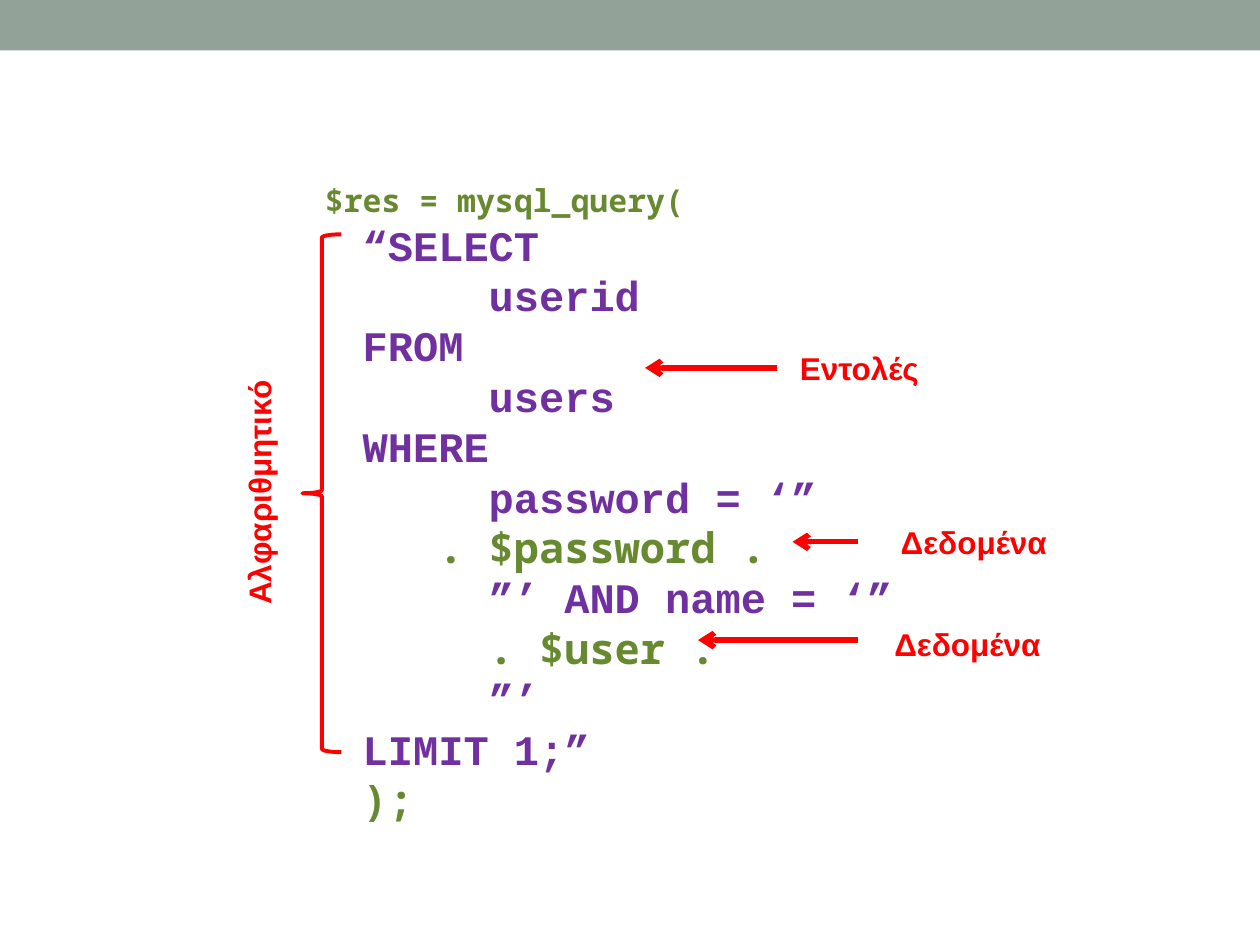
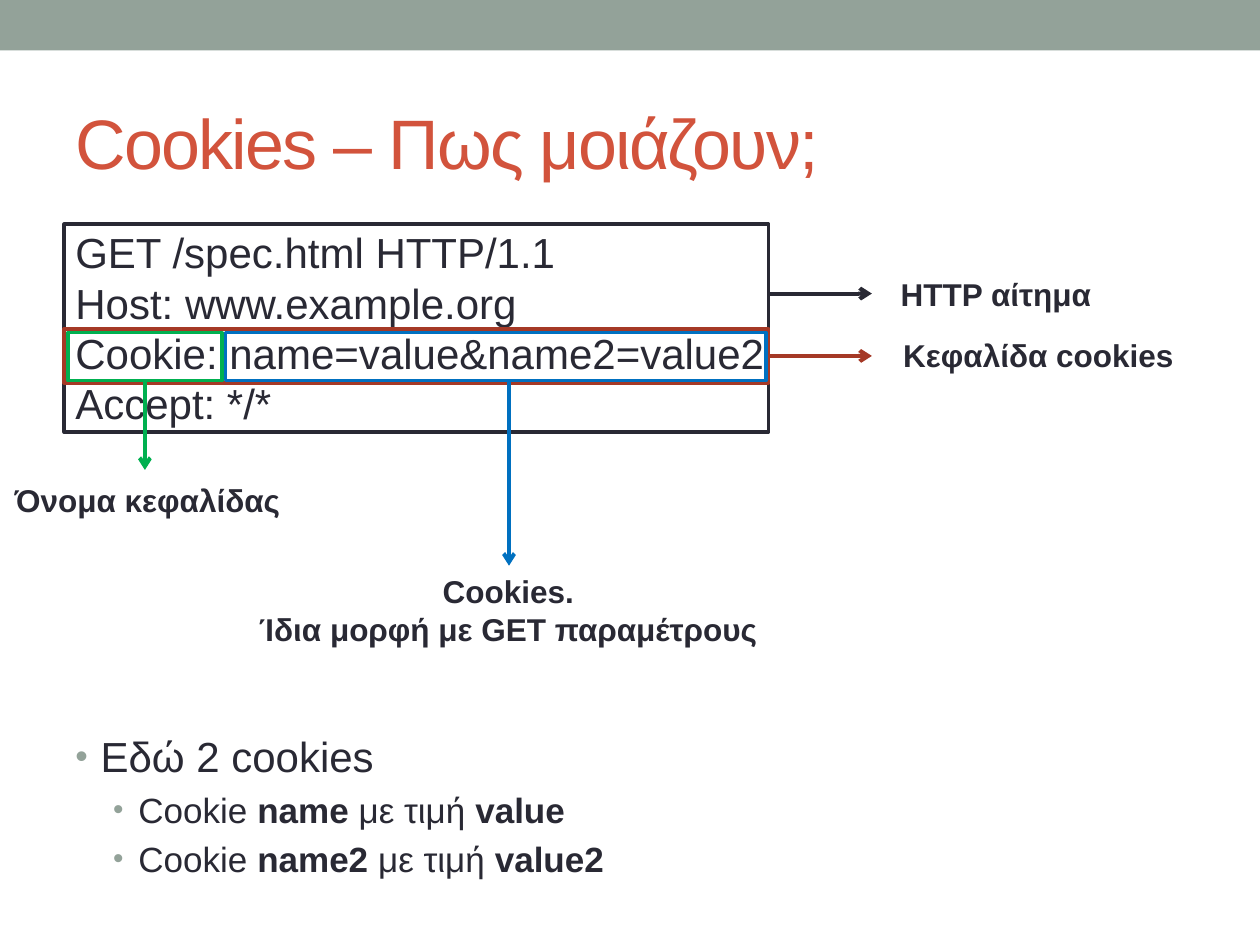
from lxml.etree import SubElement
from pptx import Presentation
from pptx.dml.color import RGBColor
from pptx.enum.shapes import MSO_CONNECTOR, MSO_SHAPE
from pptx.enum.text import MSO_ANCHOR, PP_ALIGN
from pptx.oxml.ns import qn
from pptx.util import Inches, Pt

SAGE = RGBColor(0x93, 0xA2, 0x99)
INK = RGBColor(0x29, 0x29, 0x34)
TITLE_RED = RGBColor(0xD2, 0x53, 0x3C)
RED = RGBColor(0xFF, 0x00, 0x00)
BRICK = RGBColor(0xA5, 0x39, 0x26)
BLUE = RGBColor(0x00, 0x70, 0xC0)
GREEN = RGBColor(0x00, 0xB0, 0x50)
PURPLE = RGBColor(0x70, 0x30, 0xA0)
OLIVE = RGBColor(0x67, 0x89, 0x30)

SANS, QUERY_FONT, PHP_FONT = "Arial", "Courier New", "Noto Sans Mono"
LEADING = 1.2
BOTTOM, RIGHT = 2, 3


class Deck:
    """Holds the shared style and the slide being filled."""

    def __init__(self):
        self.prs = Presentation()
        self.prs.slide_width, self.prs.slide_height = Inches(10), Inches(7.5)
        self.slide = None

    def new_slide(self):
        self.slide = self.prs.slides.add_slide(self.prs.slide_layouts[6])
        self.shape(MSO_SHAPE.RECTANGLE, 0, 0, 10, 0.4, fill=SAGE)

    def shape(self, kind, left, top, width, height, fill=None, line=None, weight=2.08):
        shape = self.slide.shapes.add_shape(
            kind, Inches(left), Inches(top), Inches(width), Inches(height))
        shape.shadow.inherit = False
        if fill is None:
            shape.fill.background()
        else:
            shape.fill.solid()
            shape.fill.fore_color.rgb = fill
        if line is None:
            shape.line.fill.background()
        else:
            shape.line.color.rgb = line
            shape.line.width = Pt(weight)
        return shape

    def frame(self, left, top, width, height):
        """A wrapping text box."""
        box = self.slide.shapes.add_textbox(
            Inches(left), Inches(top), Inches(width), Inches(height))
        box.text_frame.word_wrap = True
        return box

    def paragraph(self, frame, text, size, color, font=SANS, bold=None,
                  indent=0, hanging=0, fixed=False):
        """Add a paragraph, filling the first empty one; every second part
        of a text split by * is bold."""
        para = frame.paragraphs[0]
        if para.runs:
            para = frame.add_paragraph()
        for i, part in enumerate(text.split("*") if "*/*" not in text else [text]):
            if part:
                run = para.add_run()
                run.text = part
                if i % 2:
                    run.font.bold = True
        para.font.size, para.font.name = Pt(size), font
        para.font.color.rgb = color
        para.font.bold = bold
        if fixed:
            para.line_spacing = Pt(size * LEADING)
        props = para._p.get_or_add_pPr()
        props.set("marL", str(Inches(indent)))
        props.set("indent", str(Inches(-hanging)))
        return para

    def title(self, text):
        box = self.frame(0.5, 0.58, 9, 1.08)
        box.text_frame.vertical_anchor = MSO_ANCHOR.MIDDLE
        para = self.paragraph(box.text_frame, text, 40, TITLE_RED)
        para.runs[0]._r.get_or_add_rPr().set("spc", "-100")

    def label(self, lines, left, top, width, color=INK, align=PP_ALIGN.LEFT, rotation=0):
        box = self.frame(left, top, width, 0.1 + 0.3 * len(lines))
        box.rotation = rotation
        for line in lines:
            self.paragraph(box.text_frame, line, 18, color, bold=True).alignment = align

    def bullet(self, frame, text, size, indent):
        para = self.paragraph(frame, text, size, INK, indent=indent, hanging=0.2, fixed=True)
        props = para._p.get_or_add_pPr()
        following = props.find(qn("a:defRPr"))
        bullet_color = SubElement(props, qn("a:buClr"))
        SubElement(bullet_color, qn("a:srgbClr"), val=str(SAGE))
        bullet_size = SubElement(props, qn("a:buSzPct"), val="85000")
        bullet_font = SubElement(props, qn("a:buFont"), typeface=SANS)
        bullet_char = SubElement(props, qn("a:buChar"), char="•")
        if following is not None:
            for element in (bullet_color, bullet_size, bullet_font, bullet_char):
                following.addprevious(element)
        return para

    def arrow(self, x1, y1, x2, y2, color, weight=2.25, source=None, side=None):
        arrow = self.slide.shapes.add_connector(
            MSO_CONNECTOR.STRAIGHT, Inches(x1), Inches(y1), Inches(x2), Inches(y2))
        if source is not None:
            arrow.begin_connect(source, side)
        arrow.line.color.rgb = color
        arrow.line.width = Pt(weight)
        SubElement(arrow.line._get_or_add_ln(), qn("a:tailEnd"), type="arrow")
        SubElement(arrow._element.spPr, qn("a:effectLst"))


def query_slide(deck):
    deck.new_slide()

    # Code: text, indent, and whether it belongs to the query string
    outer, joined, inner = 0.3, 0.9, 1.3
    code_lines = [
        ("“SELECT", outer, True),
        ("userid", inner, True),
        ("FROM", outer, True),
        ("users", inner, True),
        ("WHERE", outer, True),
        ("password = ‘”", inner, True),
        (". $password .", joined, False),
        ("”’ AND name = ‘”", inner, True),
        (". $user .", inner, False),
        ("”’", inner, True),
        ("LIMIT 1;”", outer, True),
        (");", outer, False),
    ]
    code = deck.frame(2.48, 1.39, 5.75, 5.25).text_frame
    deck.paragraph(code, "$res = mysql_query(", 18, OLIVE, PHP_FONT, bold=True)
    for text, indent, in_query in code_lines:
        color, font = (PURPLE, QUERY_FONT) if in_query else (OLIVE, PHP_FONT)
        deck.paragraph(code, text, 24, color, font, bold=True, indent=indent, fixed=True)

    # Arrows and labels: text, label left and top, arrow start, end and height
    for text, left, top, start, end, y in [
        ("Εντολές", 6.25, 2.72, 6.17, 5.12, 2.92),
        ("Δεδομένα", 7.05, 4.1, 6.81, 6.29, 4.3),
        ("Δεδομένα", 7, 4.91, 6.81, 5.54, 5.08),
    ]:
        deck.arrow(start, y, end, y, RED, weight=3)
        deck.label([text], left, top, 2.2, RED)

    # Brace around the string
    deck.shape(MSO_SHAPE.LEFT_BRACE, 2.4, 1.86, 0.31, 4.11, line=RED, weight=2.25)
    deck.label(["Αλφαριθμητικό"], 0, 3.71, 4.11, RED, PP_ALIGN.CENTER, rotation=270)


def cookies_slide(deck):
    deck.new_slide()
    deck.title("Cookies – Πως μοιάζουν;")

    # HTTP request
    request = deck.frame(0.5, 1.75, 9, 1.7).text_frame
    for line in ["GET /spec.html HTTP/1.1", "Host: www.example.org",
                 "Cookie: name=value&name2=value2", "Accept: */*"]:
        deck.paragraph(request, line, 24, INK, fixed=True)

    # Frames around its parts
    box = MSO_SHAPE.RECTANGLE
    deck.shape(box, 0.51, 1.78, 5.59, 1.65, line=INK)
    cookie_header = deck.shape(box, 0.51, 2.61, 5.59, 0.43, line=BRICK)
    deck.shape(box, 1.79, 2.64, 4.29, 0.38, line=BLUE)
    header_name = deck.shape(box, 0.54, 2.64, 1.22, 0.38, line=GREEN)

    # Arrows and labels
    deck.arrow(6.1, 2.33, 6.92, 2.33, INK)
    deck.label(["HTTP αίτημα"], 7.05, 2.13, 1.89)
    deck.arrow(6.1, 2.825, 6.92, 2.825, BRICK, source=cookie_header, side=RIGHT)
    deck.label(["Κεφαλίδα cookies"], 7.07, 2.62, 2.75)
    deck.arrow(4.04, 3.03, 4.04, 4.49, BLUE)
    deck.label(["Cookies.", "Ίδια μορφή με GET παραμέτρους"], 1.82, 4.49, 4.43,
               align=PP_ALIGN.CENTER)
    deck.arrow(1.15, 3.02, 1.15, 3.73, GREEN, source=header_name, side=BOTTOM)
    deck.label(["Όνομα κεφαλίδας"], -0.08, 3.77, 2.5, align=PP_ALIGN.CENTER)

    # Bullets
    summary = deck.frame(0.5, 5.75, 9, 1.5).text_frame
    deck.bullet(summary, "Εδώ 2 cookies", 24, 0.2)
    for text in ["Cookie *name* με τιμή *value*", "Cookie *name2* με τιμή *value2*"]:
        deck.bullet(summary, text, 20, 0.5).space_before = Pt(4)


def main():
    deck = Deck()
    query_slide(deck)
    cookies_slide(deck)
    deck.prs.save("out.pptx")


if __name__ == "__main__":
    main()
